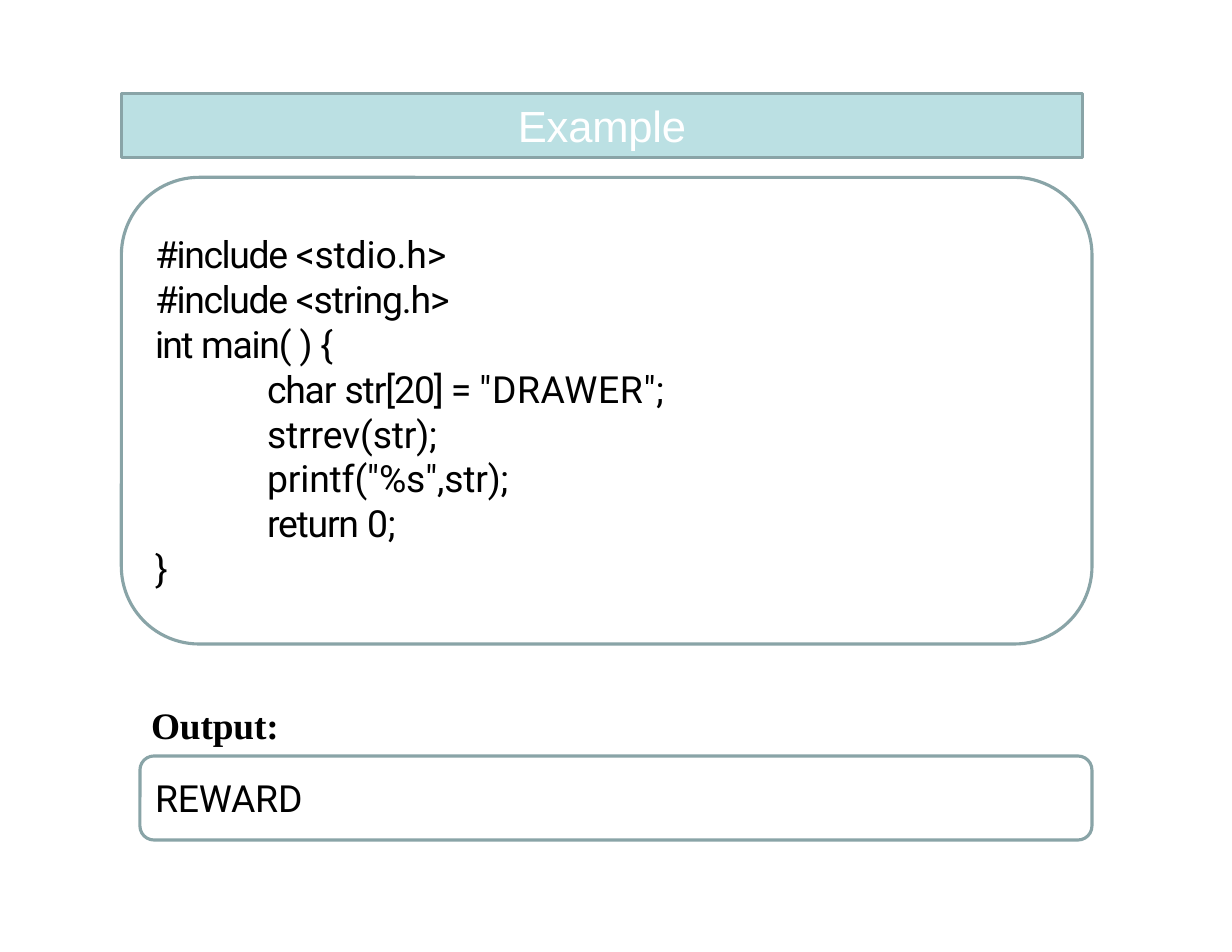
from pptx import Presentation
from pptx.dml.color import RGBColor
from pptx.enum.shapes import MSO_SHAPE
from pptx.enum.text import MSO_ANCHOR, MSO_AUTO_SIZE, PP_ALIGN
from pptx.util import Pt

COLORS = {"bar": "BBE0E3", "border": "89A4A7", "title": "FFFFFF", "text": "000000"}
CODE_FONT = {"name": "Roboto", "size": Pt(24), "bold": False}
LABEL_FONT = {"name": "Times New Roman", "size": Pt(24), "bold": True}
TITLE_FONT = {"name": "Arial", "size": Pt(28), "bold": False}
LINE_PITCH = 28.8
INDENT = 72

CODE_LINES = [
    (0, [("#include ", -0.9), ("<stdio.h>", -0.1)]),
    (0, [("#include ", -0.9), ("<string.h>", -0.7)]),
    (0, [("int ", -1.1), ("main( ", -0.8), (") {", -0.5)]),
    (1, [("char ", -0.8), ("str[20] = ", -0.7), ('"DRAWER";', 0.4)]),
    (1, [("strrev(str);", -0.1)]),
    (1, [('printf("%s",str);', -0.1)]),
    (1, [("return ", -0.8), ("0;", -0.2)]),
    (0, [("}", -0.5)]),
]


def set_values(target, values):
    for name, value in values.items():
        setattr(target, name, value)


def place(shape, box):
    set_values(shape, dict(zip(("left", "top", "width", "height"), map(Pt, box))))


def set_border(shape):
    shape.line.color.rgb = RGBColor.from_string(COLORS["border"])
    shape.line.width = Pt(2)


def write_lines(frame, lines, font, color, align=PP_ALIGN.LEFT):
    set_values(frame, {"word_wrap": True, "auto_size": MSO_AUTO_SIZE.NONE,
                       "vertical_anchor": MSO_ANCHOR.MIDDLE,
                       "margin_top": 0, "margin_bottom": 0})
    for index, (level, runs) in enumerate(lines):
        paragraph = frame.paragraphs[0] if index == 0 else frame.add_paragraph()
        paragraph.alignment = align
        if len(lines) > 1:
            paragraph.line_spacing = Pt(LINE_PITCH)
        if level:
            paragraph_properties = paragraph._p.get_or_add_pPr()
            paragraph_properties.set("marL", str(Pt(INDENT * level)))
            paragraph_properties.set("indent", "0")
        for text, spacing in runs:
            run = paragraph.add_run()
            run.text = text
            set_values(run.font, font)
            run.font.color.rgb = RGBColor.from_string(COLORS[color])
            run._r.get_or_add_rPr().set("spc", str(round(spacing * 100)))


def add_title(slide, box):
    title = slide.shapes.title
    place(title, box)
    title.fill.solid()
    title.fill.fore_color.rgb = RGBColor.from_string(COLORS["bar"])
    set_border(title)
    write_lines(title.text_frame, [(0, [("Example", -0.1)])], TITLE_FONT, "title",
                PP_ALIGN.CENTER)


def add_panel(slide, box, lines):
    panel = slide.shapes.add_shape(MSO_SHAPE.ROUNDED_RECTANGLE, *map(Pt, box))
    panel.shadow.inherit = False
    panel.fill.background()
    set_border(panel)
    write_lines(panel.text_frame, lines, CODE_FONT, "text")


def add_output(slide, box):
    left, top, width, height = box
    label_height = 28
    label = slide.shapes.add_textbox(Pt(left + 7.2), Pt(top), Pt(200), Pt(label_height))
    label.text_frame.margin_left = 0
    write_lines(label.text_frame, [(0, [("Output:", -0.1)])], LABEL_FONT, "text")
    panel_top = label_height + 6
    add_panel(slide, (left, top + panel_top, width, height - panel_top),
              [(0, [("REWARD", -0.1)])])


def main():
    presentation = Presentation()
    presentation.slide_width = Pt(792)
    presentation.slide_height = Pt(612)
    slide = presentation.slides.add_slide(presentation.slide_layouts[5])
    add_title(slide, (78, 60, 618, 41.4))
    add_panel(slide, (78, 114, 624, 300), CODE_LINES)
    add_output(slide, (90, 452, 612, 88))
    presentation.save("out.pptx")


if __name__ == "__main__":
    main()
